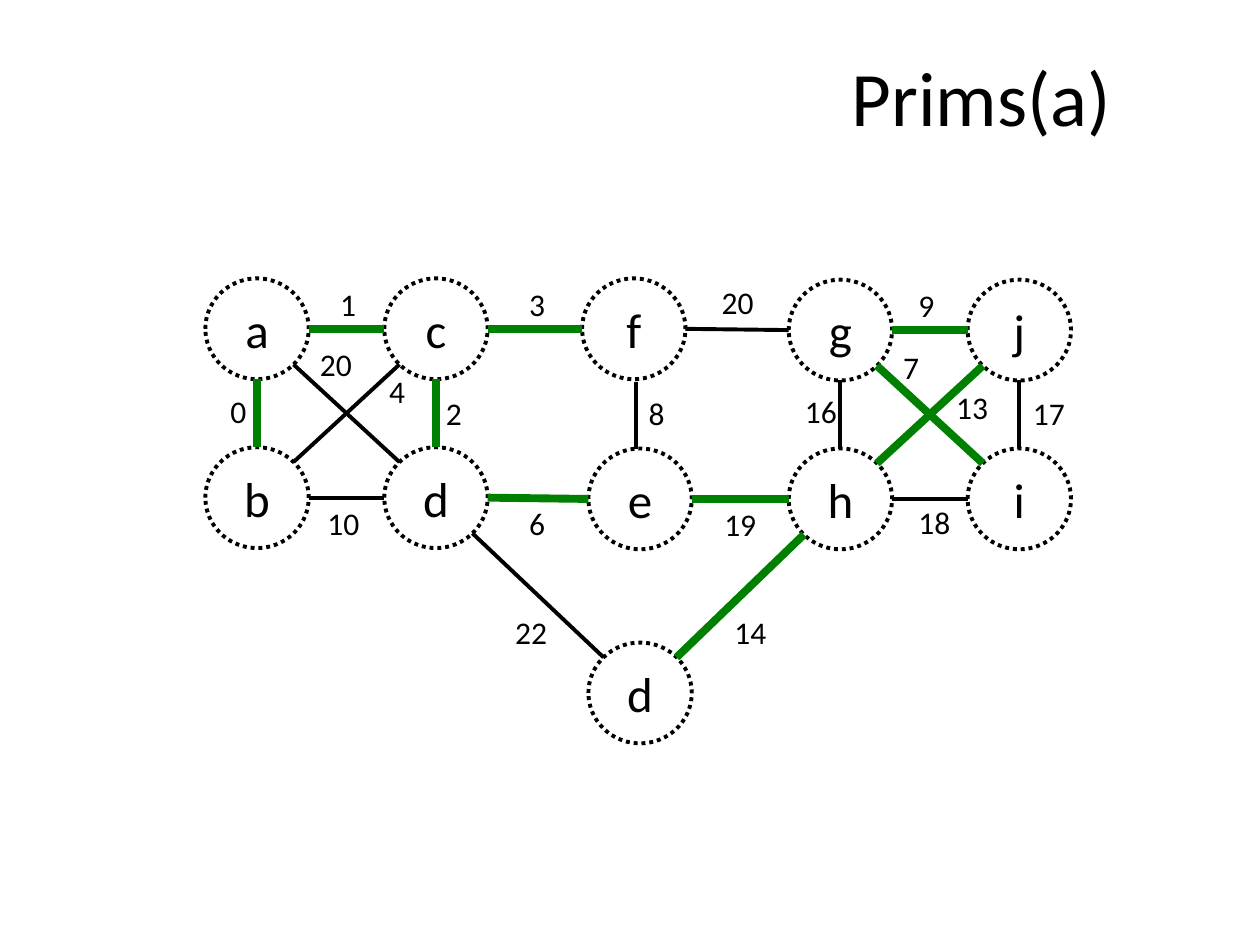
import math

import pptx
import pptx.dml.color
import pptx.enum.dml
import pptx.enum.shapes
import pptx.enum.text
import pptx.util
from pptx.util import Inches
from lxml import etree

FONT = "Calibri"
BLACK, GREEN, WHITE = "000000", "008000", "FFFFFF"
NODE_W, NODE_H = 0.82, 0.8
LABEL_H = 0.4

# Node key: left, top, letter
NODES = {
    "a": (1.63, 2.21, "a"), "c": (3.05, 2.21, "c"),
    "b": (1.63, 3.55, "b"), "d": (3.05, 3.55, "d"),
    "f": (4.62, 2.21, "f"), "e": (4.67, 3.56, "e"),
    "g": (6.26, 2.22, "g"), "j": (7.68, 2.22, "j"),
    "h": (6.26, 3.56, "h"), "i": (7.68, 3.56, "i"),
    "lower d": (4.67, 5.1, "d"),
}

# Direction in which an edge leaves its first node
RIGHT, DOWN, DOWN_RIGHT, DOWN_LEFT = (1, 0), (0, 1), (1, 1), (-1, 1)

# First node, second node, direction
TREE_EDGES = [
    ("a", "c", RIGHT), ("a", "b", DOWN), ("c", "d", DOWN), ("c", "f", RIGHT),
    ("d", "e", RIGHT), ("e", "h", RIGHT), ("g", "j", RIGHT),
    ("g", "i", DOWN_RIGHT), ("j", "h", DOWN_LEFT), ("h", "lower d", DOWN_LEFT),
]
OTHER_EDGES = [
    ("a", "d", DOWN_RIGHT), ("c", "b", DOWN_LEFT), ("b", "d", RIGHT),
    ("f", "g", RIGHT), ("g", "h", DOWN), ("h", "i", RIGHT), ("j", "i", DOWN),
    ("d", "lower d", DOWN_RIGHT),
]

# Weight, left, top, width
WEIGHTS = [
    ("0", 1.73, 3.06, 0.31), ("1", 2.6, 2.21, 0.31), ("20", 2.44, 2.69, 0.46),
    ("4", 2.99, 2.9, 0.31), ("10", 2.5, 3.95, 0.55), ("3", 4.1, 2.21, 0.42),
    ("6", 4.1, 3.95, 0.42), ("2", 3.44, 3.08, 0.42), ("8", 5.05, 3.08, 0.42),
    ("19", 5.65, 3.96, 0.6), ("20", 5.63, 2.2, 0.6), ("9", 7.19, 2.22, 0.6),
    ("7", 7.07, 2.71, 0.6), ("13", 7.49, 3.03, 0.6), ("18", 7.19, 3.94, 0.6),
    ("16", 6.29, 3.06, 0.6), ("17", 8.1, 3.08, 0.6), ("14", 5.73, 4.82, 0.53),
    ("22", 3.99, 4.82, 0.53),
]


def color(hex_string):
    return pptx.dml.color.RGBColor.from_string(hex_string)


def write(frame, text, size):
    frame.word_wrap = True
    paragraph = frame.paragraphs[0]
    paragraph.text = text
    paragraph.font.name = FONT
    paragraph.font.size = pptx.util.Pt(size)
    paragraph.font.color.rgb = color(BLACK)
    return paragraph


def add_label(slide, text, left, top, width, height=LABEL_H, size=18):
    label = slide.shapes.add_textbox(
        Inches(left), Inches(top), Inches(width), Inches(height))
    write(label.text_frame, text, size)


def add_node(slide, left, top, letter):
    node = slide.shapes.add_shape(
        pptx.enum.shapes.MSO_SHAPE.OVAL,
        Inches(left), Inches(top), Inches(NODE_W), Inches(NODE_H))
    node.shadow.inherit = False
    node.fill.solid()
    node.fill.fore_color.rgb = color(WHITE)
    node.line.color.rgb = color(BLACK)
    node.line.width = pptx.util.Pt(2.25)
    node.line.dash_style = pptx.enum.dml.MSO_LINE.ROUND_DOT
    node.text_frame.vertical_anchor = pptx.enum.text.MSO_ANCHOR.MIDDLE
    write(node.text_frame, letter, 28).alignment = pptx.enum.text.PP_ALIGN.CENTER


def rim_point(key, direction):
    """Point where a direction meets the rim of a node."""
    left, top, _ = NODES[key]
    dx, dy = direction
    reach = 0.5 / math.hypot(dx, dy)
    return (left + NODE_W * (0.5 + dx * reach),
            top + NODE_H * (0.5 + dy * reach))


def add_line(slide, start, end, hex_string, width):
    line = slide.shapes.add_connector(
        pptx.enum.shapes.MSO_CONNECTOR.STRAIGHT,
        *(Inches(value) for value in (*start, *end)))
    line.line.color.rgb = color(hex_string)
    line.line.width = pptx.util.Pt(width)
    namespace = "{http://schemas.openxmlformats.org/drawingml/2006/main}"
    etree.SubElement(line._element.spPr, namespace + "effectLst")


def add_edges(slide, edges, hex_string, width):
    for first, second, (dx, dy) in edges:
        add_line(slide, rim_point(first, (dx, dy)),
                 rim_point(second, (-dx, -dy)), hex_string, width)


def main():
    deck = pptx.Presentation()
    deck.slide_width, deck.slide_height = Inches(10), Inches(7.5)
    slide = deck.slides.add_slide(deck.slide_layouts[6])

    # Graph nodes
    for node in NODES.values():
        add_node(slide, *node)

    # Edges outside the spanning tree, then the tree itself
    add_edges(slide, OTHER_EDGES, BLACK, 2.25)
    add_line(slide, (5.05, 3.03), (5.05, 3.56), BLACK, 2.25)  # f to e, upright
    add_edges(slide, TREE_EDGES, GREEN, 4.5)

    # Edge weights
    for weight in WEIGHTS:
        add_label(slide, *weight)

    # Title
    add_label(slide, "Prims(a)", 6.66, 0.34, 2.92, 0.84, 44)

    deck.save("out.pptx")


main()
